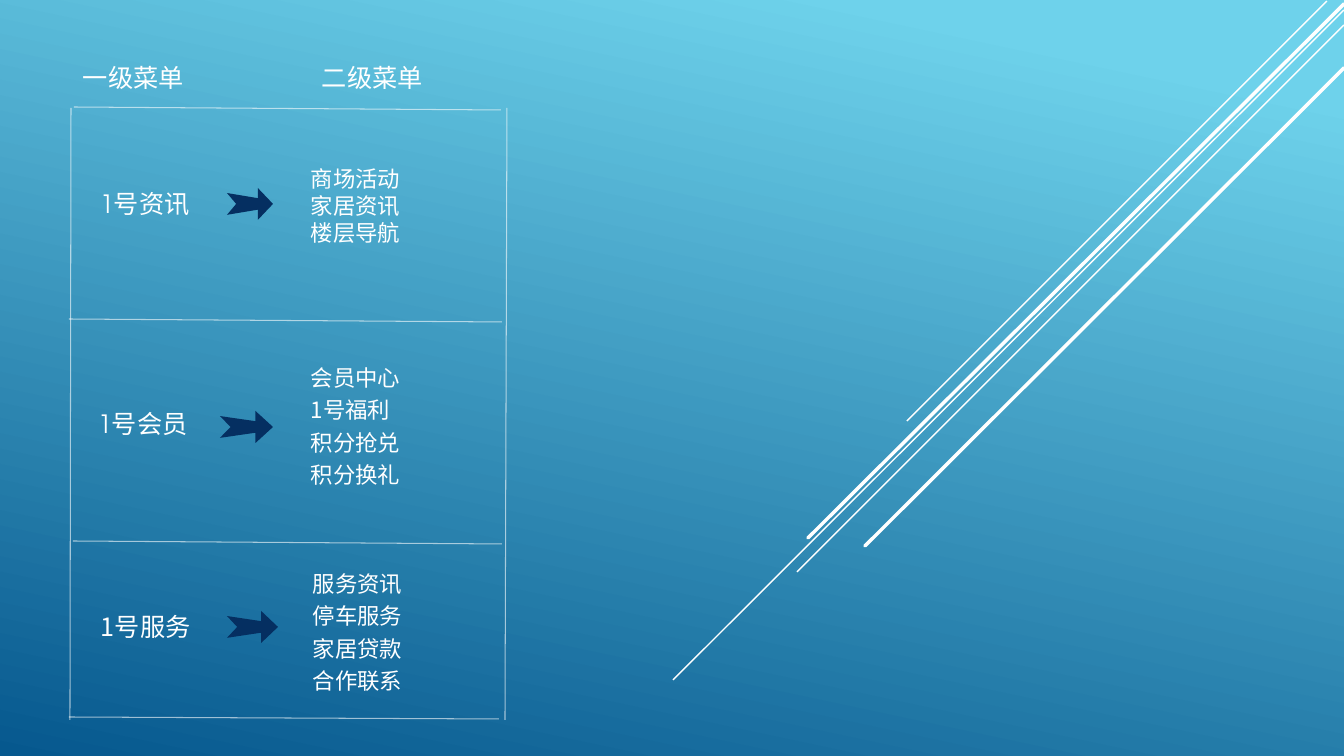
from lxml import etree
from pptx import Presentation
from pptx.dml.color import RGBColor
from pptx.enum.shapes import MSO_CONNECTOR
from pptx.oxml.ns import qn
from pptx.util import Pt

STRAIGHT = MSO_CONNECTOR.STRAIGHT
EMU_PER_PX = 914400 / 100.8
SLIDE_W, SLIDE_H = 1344, 756

WHITE = RGBColor(0xFF, 0xFF, 0xFF)
NAVY = RGBColor(0x05, 0x2F, 0x61)
SKY = RGBColor(0x6E, 0xD2, 0xEB)
OCEAN = RGBColor(0x06, 0x58, 0x8E)
GEOMETRIC = "TeX Gyre Adventor"
SANS = "Noto Sans CJK SC"

# Outline of an arrow as fractions of its width and height
ARROW_OUTLINE = [(0.67, 0), (1, 0.5), (0.67, 1), (0.67, 0.68),
                 (0, 0.84), (0.2, 0.5), (0, 0.16), (0.67, 0.32)]
ARROW_H = 32

# Diagonal lines: start, end, weight in points
DIAGONALS = [
    ((1327, 1), (907, 421), 1),
    ((1344, 10), (673, 680), 1),
    ((1344, 25), (797, 572), 1),
    ((1344, 4), (808, 538), 2.5),
    ((1344, 68), (865, 546), 2.5),
]

# Hand-drawn frame, relative to the menu box: start, end
FRAME_LINES = [
    ((4, -1), (431, 2)),
    ((-1, 211), (432, 214)),
    ((3, 433), (432, 436)),
    ((-1, 609), (429, 611)),
    ((1, 0), (0, 612)),
    ((437, 0), (435, 612)),
]

# Menu rows, relative to the menu box. label: x, y; arrow: x, y, width;
# items: x, y; spacing is the line spacing of the items
MENU_ROWS = [
    dict(title="1号资讯", title_font=GEOMETRIC, label=(20, 75), arrow=(157, 80, 46),
         items=["商场活动", "家居资讯", "楼层导航"],
         items_font=GEOMETRIC, items_at=(231, 52), spacing=1.0),
    dict(title="1号会员", title_font=GEOMETRIC, label=(18, 295), arrow=(150, 303, 53),
         items=["会员中心", "1号福利", "积分抢兑", "积分换礼"],
         items_font=SANS, items_at=(231, 246), spacing=1.2),
    dict(title="1号服务", title_font=SANS, label=(21, 498), arrow=(157, 503, 51),
         items=["服务资讯", "停车服务", "家居贷款", "合作联系"],
         items_font=SANS, items_at=(233, 452), spacing=1.2),
]


def px(length):
    return round(length * EMU_PER_PX)


def add_line(slide, start, end, weight, opacity=100):
    line = slide.shapes.add_connector(STRAIGHT, *map(px, start + end))
    line.line.color.rgb = WHITE
    line.line.width = Pt(weight)
    properties = line._element.spPr
    etree.SubElement(properties, qn("a:effectLst"))
    if opacity < 100:
        color = properties.find(".//" + qn("a:srgbClr"))
        etree.SubElement(color, qn("a:alpha")).set("val", str(opacity * 1000))
    if weight > 1:
        properties.find(qn("a:ln")).set("cap", "rnd")


def add_text(slide, x, y, w, h, lines, size, font, spacing=1.0):
    frame = slide.shapes.add_textbox(px(x), px(y), px(w), px(h)).text_frame
    frame.word_wrap = True
    frame.text = "\n".join(lines)
    for paragraph in frame.paragraphs:
        paragraph.line_spacing = spacing
        paragraph.font.size = Pt(size)
        paragraph.font.name = font
        paragraph.font.color.rgb = WHITE


def add_arrow(slide, x, y, w):
    points = [(px(x + fx * w), px(y + fy * ARROW_H)) for fx, fy in ARROW_OUTLINE]
    builder = slide.shapes.build_freeform(*points[0])
    builder.add_line_segments(points[1:], close=True)
    arrow = builder.convert_to_shape()
    arrow.shadow.inherit = False
    arrow.fill.solid()
    arrow.fill.fore_color.rgb = NAVY
    arrow.line.fill.background()


def draw_backdrop(slide):
    fill = slide.background.fill
    fill.gradient()
    fill.gradient_angle = 258
    for stop, position, color in zip(fill.gradient_stops, (0.1, 1), (SKY, OCEAN)):
        stop.position = position
        stop.color.rgb = color
    for start, end, weight in DIAGONALS:
        add_line(slide, start, end, weight)


def draw_menu_row(slide, left, top, row):
    x, y, w = row["arrow"]
    add_arrow(slide, left + x, top + y, w)
    x, y = row["label"]
    add_text(slide, left + x, top + y, 135, 40, [row["title"]], 18, row["title_font"])
    x, y = row["items_at"]
    add_text(slide, left + x, top + y, 200, 10 + 32 * len(row["items"]),
             row["items"], 16, row["items_font"], row["spacing"])


def draw_menu(slide, left, top):
    # Column headings
    for x, heading in ((3, "一级菜单"), (242, "二级菜单")):
        add_text(slide, left + x, top - 51, 160, 40, [heading], 18, GEOMETRIC)
    # Rows
    for row in MENU_ROWS:
        draw_menu_row(slide, left, top, row)
    # Frame
    for (x1, y1), (x2, y2) in FRAME_LINES:
        add_line(slide, (left + x1, top + y1), (left + x2, top + y2), 0.75, opacity=60)


def main():
    deck = Presentation()
    deck.slide_width, deck.slide_height = px(SLIDE_W), px(SLIDE_H)
    slide = deck.slides.add_slide(deck.slide_layouts[6])
    draw_backdrop(slide)
    draw_menu(slide, left=70, top=108)
    deck.save("out.pptx")


if __name__ == "__main__":
    main()
